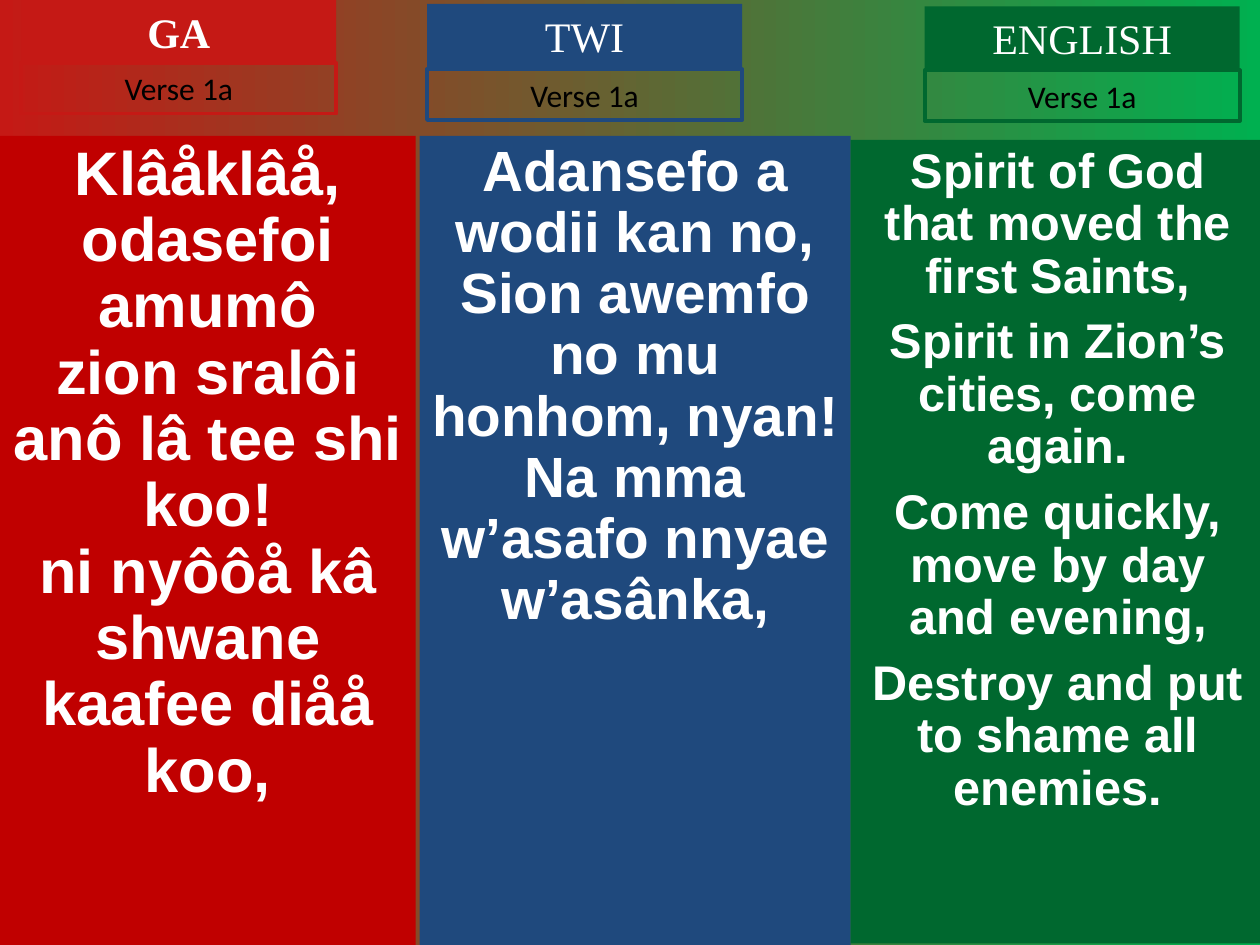
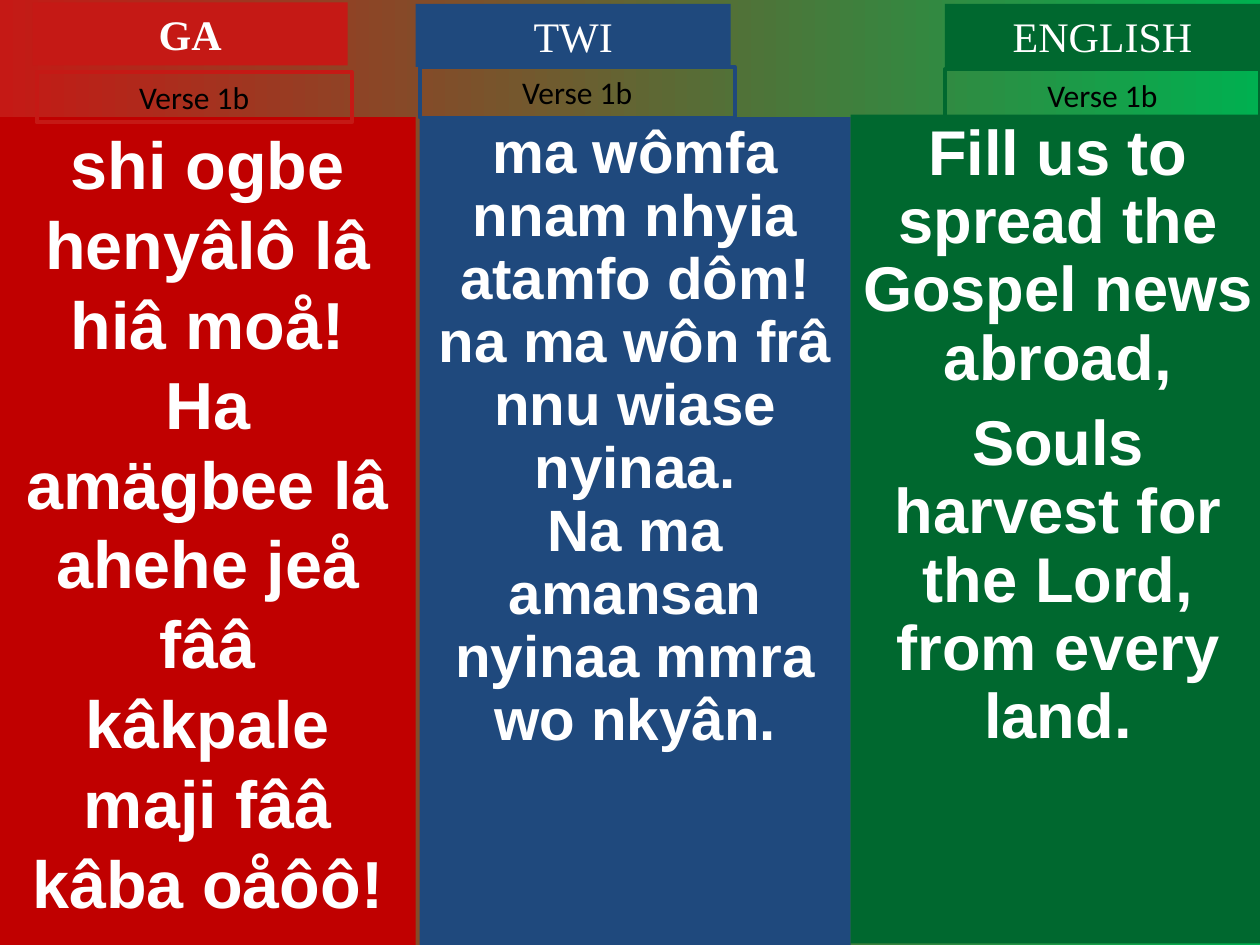
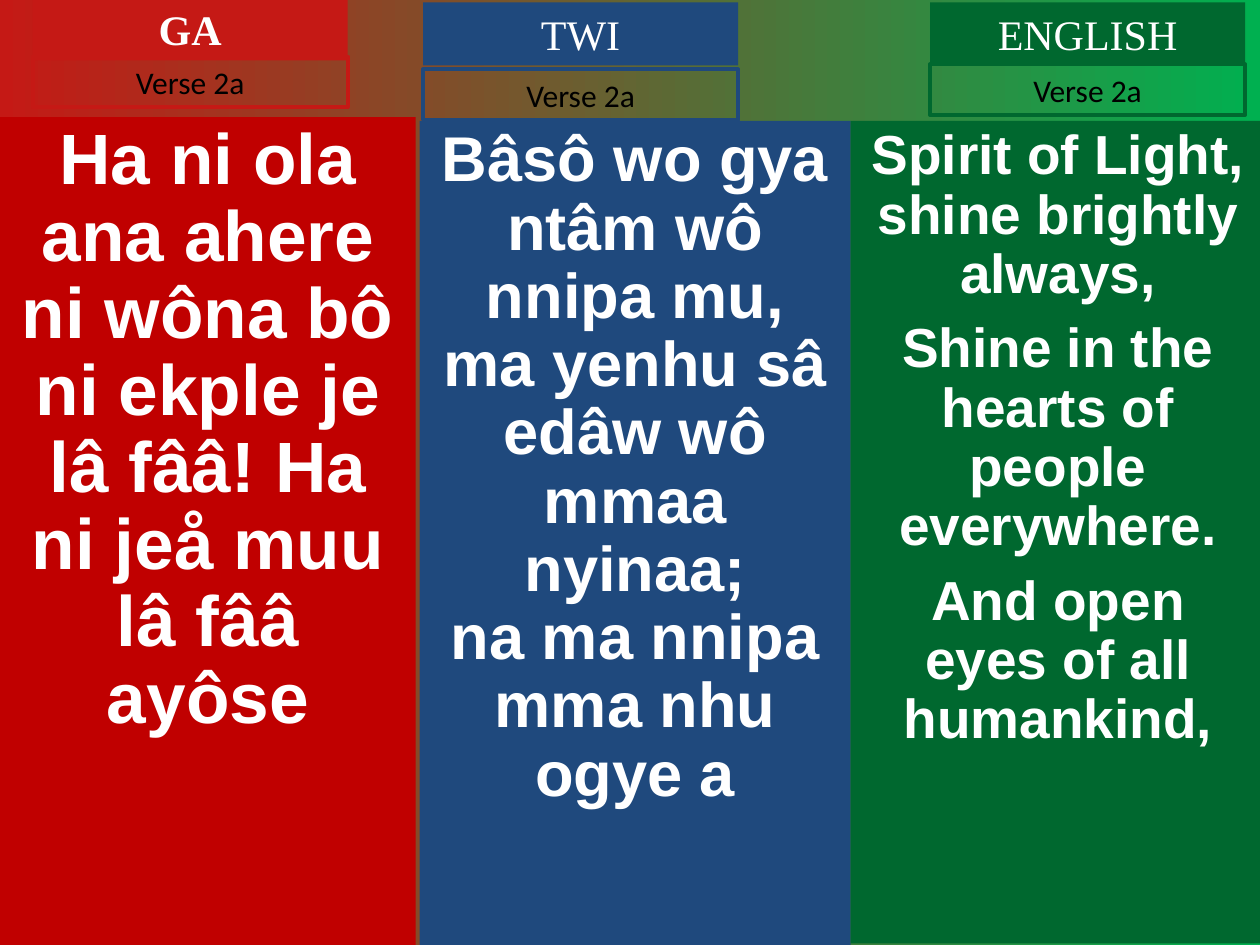
from dataclasses import dataclass

from pptx import Presentation
from pptx.dml.color import RGBColor
from pptx.enum.shapes import MSO_SHAPE
from pptx.enum.text import MSO_ANCHOR, MSO_AUTO_SIZE, PP_ALIGN
from pptx.shapes.autoshape import Shape
from pptx.slide import Slide
from pptx.util import Cm, Pt

COLOURS = {
    "ga_panel": "C00000",
    "ga_label": "C51915",
    "twi": "1F497D",
    "english": "00682F",
    "backdrop_end": "00B050",
    "lyrics": "FFFFFF",
    "verse": "000000",
}

# Sizes in centimetres
SLIDE_WIDTH, SLIDE_HEIGHT = 25.4, 19.05
LABEL_WIDTH = 6.35
HEADER_HEIGHT, TAG_HEIGHT = 1.27, 1.02


@dataclass(frozen=True)
class Language:
    name: str
    panel_colour: str
    label_colour: str
    left: float
    width: float
    bottom: float
    bold_header: bool = False


@dataclass(frozen=True)
class Style:
    font: str
    size: float
    colour: str
    bold: bool = False
    line_spacing: float = 1.0
    gap: float = 0


@dataclass(frozen=True)
class Stanza:
    panel_top: float
    header_at: tuple[float, float]
    tag_at: tuple[float, float]
    size: float
    lines: tuple[str, ...]
    line_spacing: float = 0.9
    gap: float = 0


@dataclass(frozen=True)
class Verse:
    label: str
    stanzas: tuple[Stanza, Stanza, Stanza]


LANGUAGES = (
    Language("GA", "ga_panel", "ga_label", 0, 8.38, SLIDE_HEIGHT, bold_header=True),
    Language("TWI", "twi", "twi", 8.46, 8.69, SLIDE_HEIGHT),
    Language("ENGLISH", "english", "english", 17.15, 8.36, 19.02),
)

# Stanzas follow the order of LANGUAGES
VERSES = (
    Verse("Verse 1a", (
        Stanza(2.74, (0.43, 0), (0.43, 1.27), 35.1, (
            "Klâåklâå, odasefoi amumô",
            "zion sralôi anô lâ tee shi koo!",
            "ni nyôôå kâ shwane kaafee diåå koo,",
        )),
        Stanza(2.74, (8.61, 0.08), (8.61, 1.4), 32.4, (
            "Adansefo a wodii kan no,",
            "Sion awemfo no mu honhom, nyan!",
            "Na mma w’asafo nnyae w’asânka,",
        )),
        Stanza(2.82, (18.64, 0.13), (18.64, 1.42), 27.8, (
            "Spirit of God that moved the first Saints,",
            "Spirit in Zion’s cities, come again.",
            "Come quickly, move by day and evening,",
            "Destroy and put to shame all enemies.",
        ), gap=7.5),
    )),
    Verse("Verse 1b", (
        Stanza(2.36, (0.66, 0.05), (0.74, 1.45), 38, (
            "shi ogbe henyâlô lâ hiâ moå!",
            "Ha amägbee lâ ahehe jeå fââ",
            "kâkpale maji fââ kâba oåôô!",
        ), line_spacing=1.0),
        Stanza(2.36, (8.38, 0.08), (8.46, 1.35), 33.3, (
            "ma wômfa nnam nhyia atamfo dôm! na ma wôn frâ nnu wiase nyinaa.",
            "Na ma amansan nyinaa mmra wo nkyân.",
        )),
        Stanza(2.31, (19.05, 0.08), (19.05, 1.4), 36.1, (
            "Fill us to spread the Gospel news abroad,",
            "Souls harvest for the Lord, from every land.",
        ), gap=9.8),
    )),
    Verse("Verse 2a", (
        Stanza(2.36, (0.66, -0.05), (0.66, 1.14), 40.7, (
            "Ha ni ola ana ahere ni wôna bô ni ekple je lâ fââ! "
            "Ha ni jeå muu lâ fââ ayôse",
        )),
        Stanza(2.44, (8.53, 0.05), (8.53, 1.4), 36.1, (
            "Bâsô wo gya ntâm wô nnipa mu, ma yenhu sâ edâw wô mmaa nyinaa;",
            "na ma nnipa mma nhu ogye a",
        )),
        Stanza(2.44, (18.75, 0.05), (18.75, 1.3), 31.4, (
            "Spirit of Light, shine brightly always,",
            "Shine in the hearts of people everywhere.",
            "And open eyes of all humankind,",
        ), gap=8.5),
    )),
)


def rgb(name: str) -> RGBColor:
    return RGBColor.from_string(COLOURS[name])


def add_box(slide: Slide, left: float, top: float, width: float, height: float) -> Shape:
    box = slide.shapes.add_shape(
        MSO_SHAPE.RECTANGLE, Cm(left), Cm(top), Cm(width), Cm(height))
    box.shadow.inherit = False
    return box


def fill_box(box: Shape, colour: str) -> None:
    box.fill.solid()
    box.fill.fore_color.rgb = rgb(colour)
    box.line.fill.background()


def outline_box(box: Shape, colour: str) -> None:
    box.fill.background()
    box.line.color.rgb = rgb(colour)
    box.line.width = Pt(2.25)


def write(box: Shape, lines: tuple[str, ...], style: Style) -> None:
    frame = box.text_frame
    frame.word_wrap = True
    frame.vertical_anchor = MSO_ANCHOR.TOP
    for index, line in enumerate(lines):
        paragraph = frame.add_paragraph() if index else frame.paragraphs[0]
        paragraph.alignment = PP_ALIGN.CENTER
        paragraph.line_spacing = style.line_spacing
        paragraph.space_before = Pt(style.gap if index else 0)
        run = paragraph.add_run()
        run.text = line
        run.font.name = style.font
        run.font.size = Pt(style.size)
        run.font.bold = style.bold
        run.font.color.rgb = rgb(style.colour)


def add_lyrics(slide: Slide, language: Language, stanza: Stanza) -> None:
    panel = add_box(slide, language.left, stanza.panel_top, language.width,
                    language.bottom - stanza.panel_top)
    fill_box(panel, language.panel_colour)
    write(panel, stanza.lines, Style("Arial", stanza.size, "lyrics", True,
                                     stanza.line_spacing, stanza.gap))


def add_labels(slide: Slide, language: Language, stanza: Stanza, verse: str) -> None:
    header = add_box(slide, *stanza.header_at, LABEL_WIDTH, HEADER_HEIGHT)
    fill_box(header, language.label_colour)
    write(header, (language.name,),
          Style("Times New Roman", 24, "lyrics", language.bold_header))

    tag = add_box(slide, *stanza.tag_at, LABEL_WIDTH, TAG_HEIGHT)
    outline_box(tag, language.label_colour)
    write(tag, (verse,), Style("Calibri", 18, "verse"))

    for label in (header, tag):
        label.text_frame.auto_size = MSO_AUTO_SIZE.SHAPE_TO_FIT_TEXT


def main() -> None:
    hymn = Presentation()
    hymn.slide_width, hymn.slide_height = Cm(SLIDE_WIDTH), Cm(SLIDE_HEIGHT)

    # Shared red-to-green backdrop
    backdrop = hymn.slide_master.background.fill
    backdrop.gradient()
    backdrop.gradient_angle = 0
    for stop, colour in zip(backdrop.gradient_stops, ("ga_label", "backdrop_end")):
        stop.color.rgb = rgb(colour)

    # One slide per verse, one column per language
    blank = hymn.slide_layouts[6]
    for verse in VERSES:
        slide = hymn.slides.add_slide(blank)
        for language, stanza in zip(LANGUAGES, verse.stanzas):
            add_lyrics(slide, language, stanza)
            add_labels(slide, language, stanza, verse.label)

    hymn.save("out.pptx")


if __name__ == "__main__":
    main()
